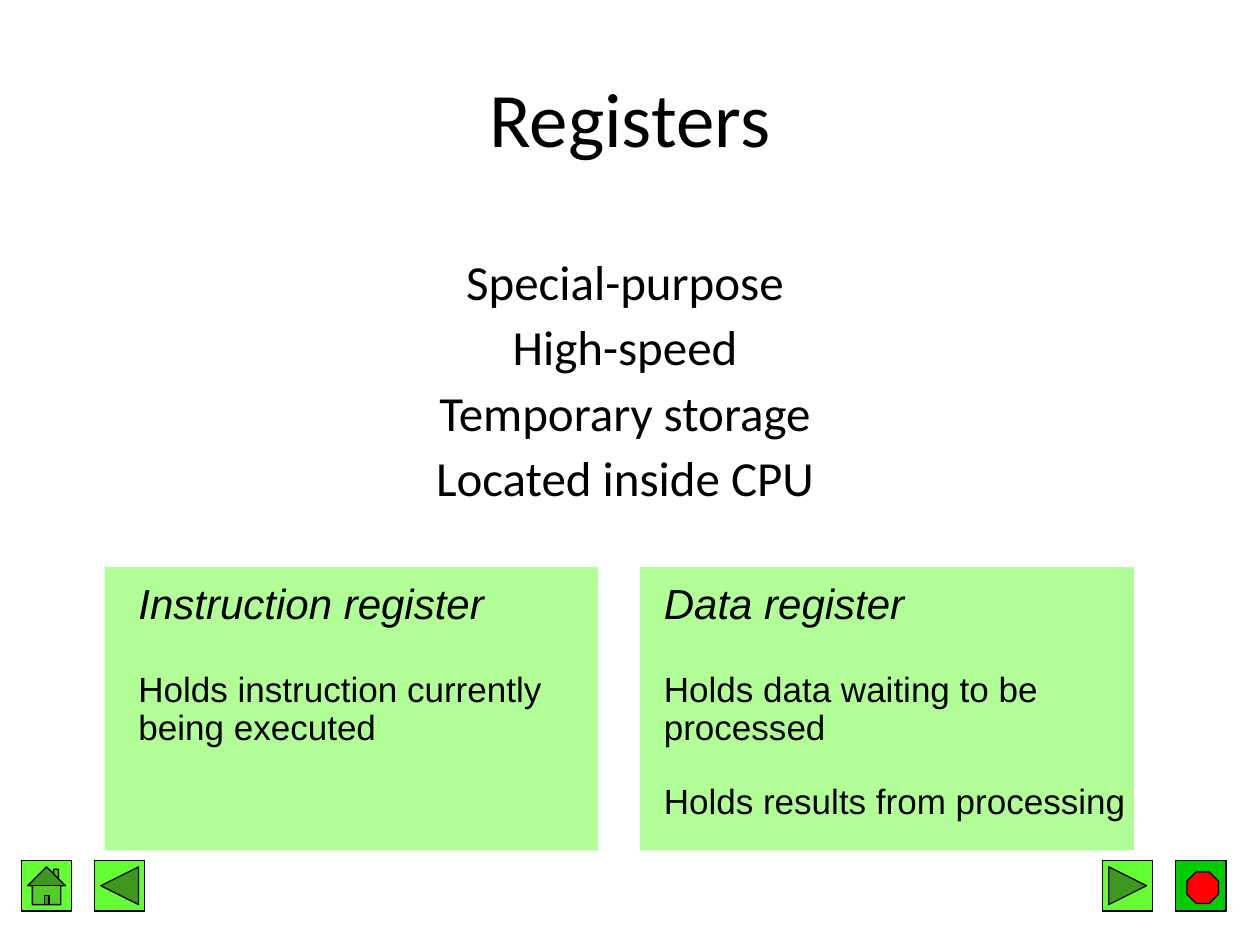
from lxml.etree import SubElement as Sub
from pptx import Presentation
from pptx.dml.color import RGBColor
from pptx.enum.shapes import MSO_SHAPE as Shape
from pptx.enum.text import MSO_ANCHOR as Anchor, MSO_AUTO_SIZE as Fit, PP_ALIGN as Align
from pptx.oxml.ns import qn
from pptx.util import Inches, Pt

BLACK = RGBColor(0x00, 0x00, 0x00)
LIME = RGBColor(0x66, 0xFF, 0x33)
GREEN = RGBColor(0x00, 0xCC, 0x00)
RED = RGBColor(0xFF, 0x00, 0x00)

TRAITS = ["Special-purpose", "High-speed", "Temporary storage", "Located inside CPU"]
CARDS = [
    (0.83, 1, 3.75, "Instruction register",
     ["Holds instruction currently being executed"]),
    (5.08, 5.17, 3.92, "Data register",
     ["Holds data waiting to be processed", "Holds results from processing"]),
]
BUTTONS = [
    (0.17, Shape.ACTION_BUTTON_HOME, LIME),
    (0.75, Shape.ACTION_BUTTON_BACK_OR_PREVIOUS, LIME),
    (8.75, Shape.ACTION_BUTTON_FORWARD_OR_NEXT, LIME),
    (9.33, Shape.ACTION_BUTTON_CUSTOM, GREEN),
]


def put(item, style):
    """Set each format value of a dict on an object."""
    for name, value in style.items():
        setattr(item, name, value)


class Deck:
    """Holds the text styles and the current slide."""

    head = {"name": "Calibri", "size": Pt(44)}
    trait = {"name": "Calibri", "size": Pt(28)}
    term = {"name": "Arial", "size": Pt(24), "italic": True}
    note = {"name": "Arial", "size": Pt(20), "italic": False}

    def __init__(self, show):
        self.slide = show.slides.add_slide(show.slide_layouts[1])
        self.shapes = self.slide.shapes

    def line(self, para, text, font, form):
        """Fill one paragraph with styled text."""
        run = para.add_run()
        run.text = text
        put(run.font, font)
        run.font.color.rgb = BLACK
        put(para, form)

    def place(self, item, left, top, width, height):
        """Move an object to a box given in inches."""
        put(item, {"left": Inches(left), "top": Inches(top),
                   "width": Inches(width), "height": Inches(height)})

    def title(self, text, *box):
        """Fill the title placeholder."""
        item = self.shapes.title
        self.place(item, *box)
        put(item.text_frame, {"vertical_anchor": Anchor.MIDDLE, "auto_size": Fit.NONE})
        self.line(item.text_frame.paragraphs[0], text, self.head, {"alignment": Align.CENTER})

    def body(self, lines, *box):
        """Fill the body placeholder with a centred list without bullets."""
        item = self.slide.placeholders[1]
        self.place(item, *box)
        frame = item.text_frame
        frame.auto_size = Fit.NONE
        form = {"alignment": Align.CENTER, "line_spacing": 0.9, "space_before": Pt(7)}
        for i, text in enumerate(lines):
            para = frame.add_paragraph() if i else frame.paragraphs[0]
            self.line(para, text, self.trait, form)
            props = para._p.get_or_add_pPr()
            props.set("marL", str(Inches(0.38)))
            props.set("indent", str(-Inches(0.38)))
            Sub(props, qn("a:buNone"))

    def shape(self, kind, box, fill, edge=None, alpha=None):
        """Draw a filled preset shape."""
        item = self.shapes.add_shape(kind, *map(Inches, box))
        item.shadow.inherit = False
        item.fill.solid()
        item.fill.fore_color.rgb = fill
        if alpha:
            tint = item._element.spPr.find(".//" + qn("a:srgbClr"))
            Sub(tint, qn("a:alpha")).set("val", str(alpha * 1000))
        if edge is None:
            item.line.fill.background()
        else:
            item.line.color.rgb = edge
            item.line.width = Pt(0.75)

    def card(self, left, inner, width, term, notes):
        """Draw a tinted panel with a term and its notes."""
        self.shape(Shape.RECTANGLE, (left, 4.5, 3.92, 2.25), LIME, alpha=50)
        box = self.shapes.add_textbox(*map(Inches, (inner, 4.58, width, 2.02)))
        frame = box.text_frame
        frame.word_wrap = True
        self.line(frame.paragraphs[0], term, self.term, {"line_spacing": 0.9})
        for i, note in enumerate(notes):
            form = {"line_spacing": 0.9, "space_before": Pt(21 if i else 25)}
            self.line(frame.add_paragraph(), note, self.note, form)


def main():
    """Build and save the slide."""
    show = Presentation()
    put(show, {"slide_width": Inches(10), "slide_height": Inches(7.5)})
    deck = Deck(show)
    for left, kind, fill in BUTTONS:
        deck.shape(kind, (left, 6.83, 0.4, 0.4), fill, BLACK)
    deck.shape(Shape.OCTAGON, (9.42, 6.92, 0.25, 0.25), RED, BLACK)
    deck.title("Registers", 0.5, 0.3, 9, 1.25)
    deck.body(TRAITS, 0.92, 2, 8.08, 2.42)
    for card in CARDS:
        deck.card(*card)
    show.save("out.pptx")


if __name__ == "__main__":
    main()
